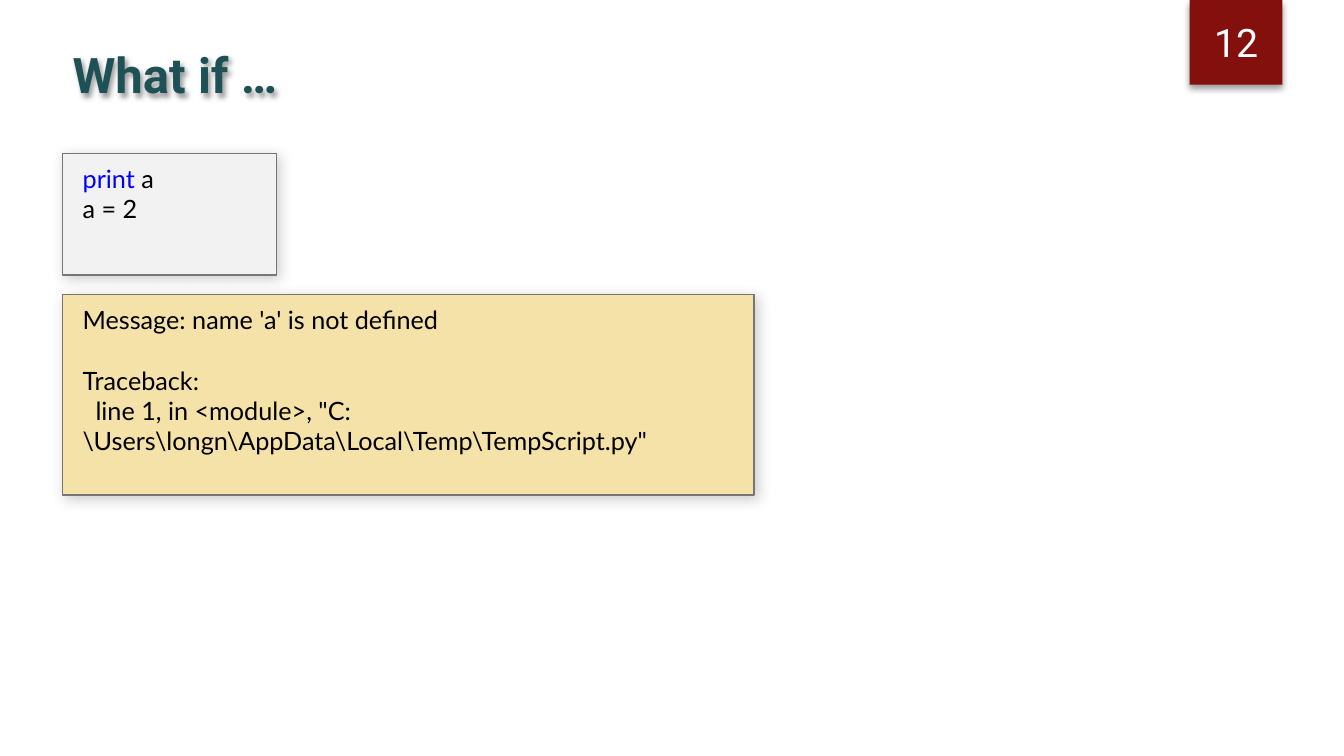
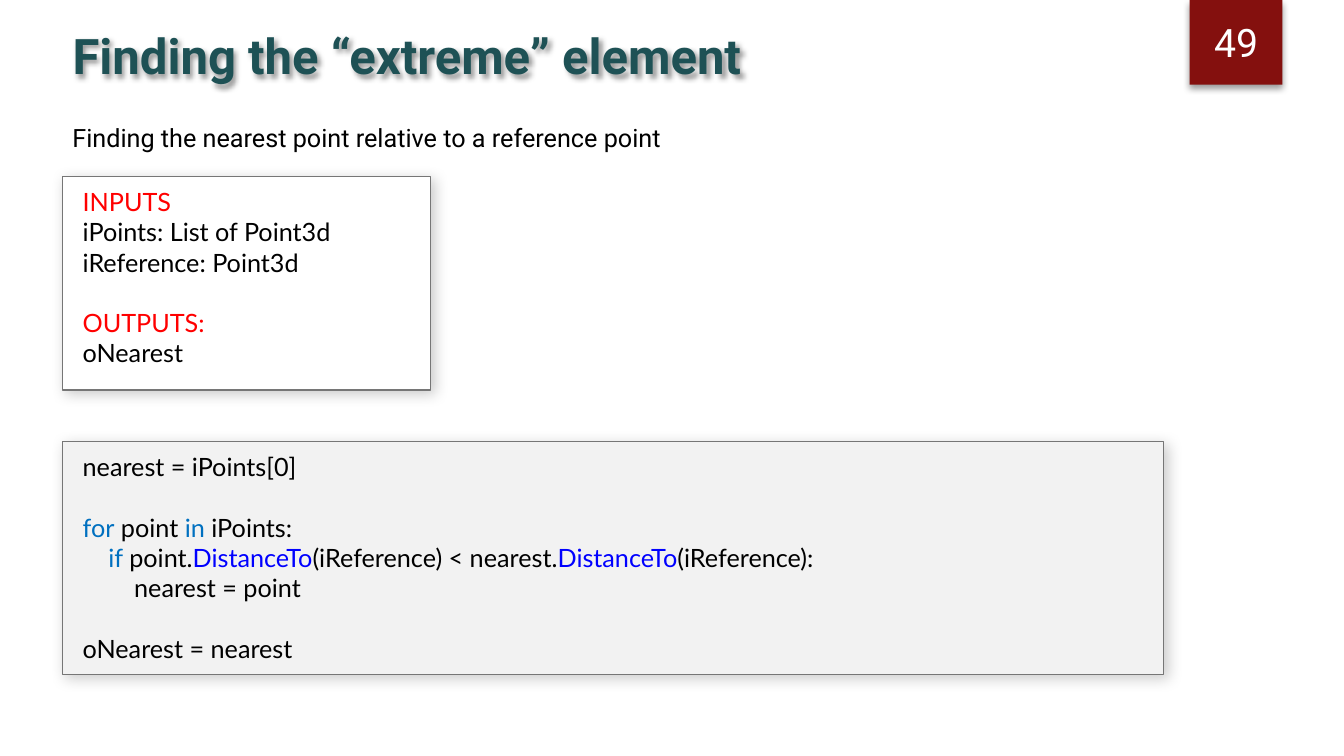
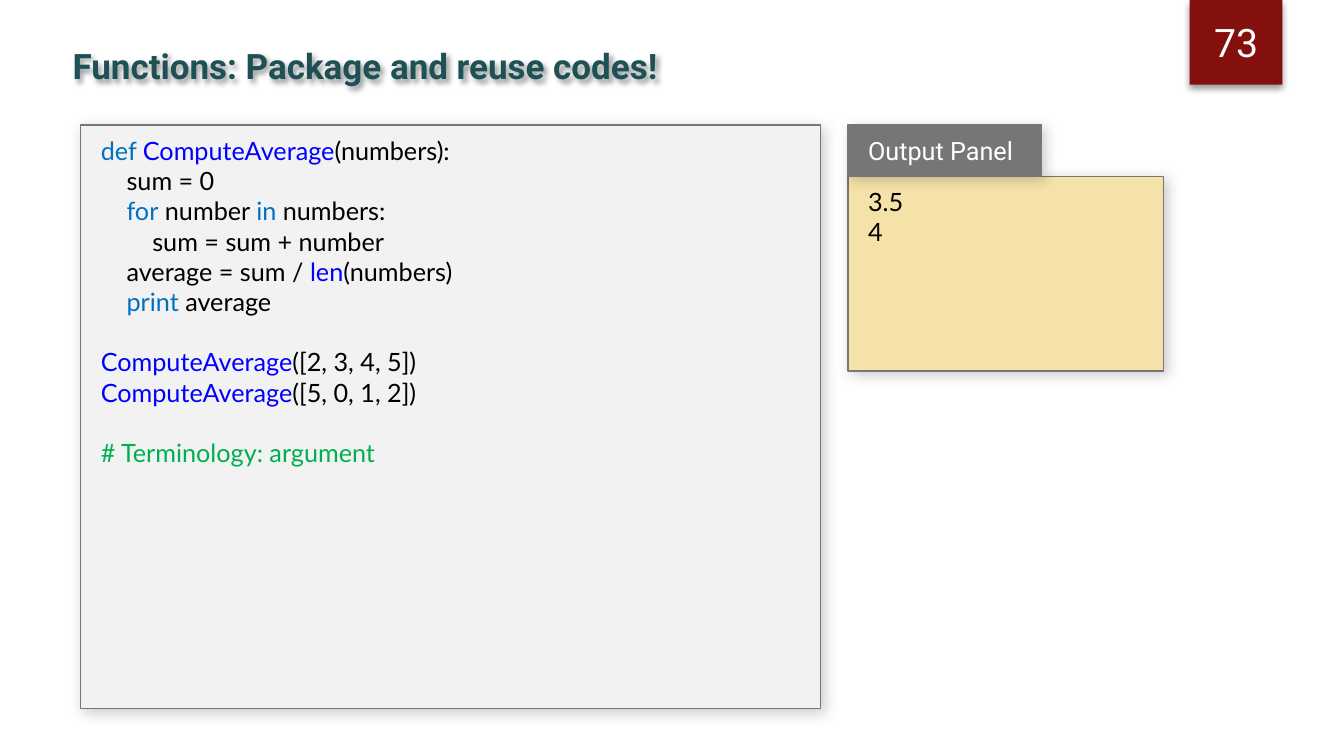
"""Build three slides of a Python scripting course."""
import pptx
import pptx.dml.color
import pptx.enum.shapes
import pptx.enum.text
import pptx.oxml.ns
import pptx.util
from lxml import etree
from pptx.util import Inches

RGBColor = pptx.dml.color.RGBColor
TEAL = RGBColor(0x1E, 0x51, 0x55)
DARK_RED = RGBColor(0x84, 0x10, 0x0E)
WHITE = RGBColor(0xFF, 0xFF, 0xFF)
BLACK = RGBColor(0x00, 0x00, 0x00)
LIGHT_GREY = RGBColor(0xF2, 0xF2, 0xF2)
GREY = RGBColor(0x76, 0x76, 0x76)
SAND = RGBColor(0xF5, 0xE2, 0xA9)
RED = RGBColor(0xFF, 0x00, 0x00)
GREEN = RGBColor(0x00, 0xB0, 0x50)
KEYWORD = RGBColor(0x00, 0x70, 0xC0)
CALL = RGBColor(0x00, 0x00, 0xFF)

HEADING_FONT = "Roboto"
CODE_FONT = "Lato"
TEXT_SIZE = pptx.util.Pt(18)
BLANK_LINE = pptx.util.Pt(21.6)
LEFT = 0.62
CONTENT_WIDTH = 10.92
RECTANGLE = pptx.enum.shapes.MSO_SHAPE.RECTANGLE


def cast_shadow(shape, opacity, blur, distance, angle):
    """Give a shape a soft black shadow."""
    shape.shadow.inherit = False
    effects = shape._element.spPr.find(pptx.oxml.ns.qn("a:effectLst"))
    shadow = etree.SubElement(
        effects, pptx.oxml.ns.qn("a:outerShdw"), blurRad=str(pptx.util.Pt(blur)),
        dist=str(pptx.util.Pt(distance)), dir=str(angle * 60000), algn="ctr", rotWithShape="0")
    colour = etree.SubElement(shadow, pptx.oxml.ns.qn("a:srgbClr"), val="000000")
    etree.SubElement(colour, pptx.oxml.ns.qn("a:alpha"), val=str(opacity * 1000))


def add_panel(slide, left, top, width, height, fill, lines, font=CODE_FONT):
    """Add a framed panel; a line is a list of (text, colour), and None leaves a line free."""
    panel = slide.shapes.add_shape(
        RECTANGLE, Inches(left), Inches(top), Inches(width), Inches(height))
    panel.fill.solid()
    panel.fill.fore_color.rgb = fill
    panel.line.color.rgb = GREY
    panel.line.width = pptx.util.Pt(1)
    cast_shadow(panel, 20, 10, 3, 45)
    frame = panel.text_frame
    frame.word_wrap = True
    frame.vertical_anchor = pptx.enum.text.MSO_ANCHOR.TOP
    frame.margin_left = frame.margin_right = Inches(0.2)
    frame.margin_top = frame.margin_bottom = Inches(0.1)
    for index, line in enumerate(lines):
        if line is None:
            continue
        paragraph = frame.add_paragraph() if index else frame.paragraphs[0]
        paragraph.alignment = pptx.enum.text.PP_ALIGN.LEFT
        if index and lines[index - 1] is None:
            paragraph.space_before = BLANK_LINE
        for text, colour in line:
            run = paragraph.add_run()
            run.text = text
            run.font.name = font
            run.font.size = TEXT_SIZE
            run.font.color.rgb = colour


presentation = pptx.Presentation()
presentation.slide_width = Inches(13.33)
presentation.slide_height = Inches(7.5)
title_only = presentation.slide_layouts[5]

slides = []
for heading, page, heading_top, heading_size in (
    ("What if …", "12", 0.39, 35),
    ("Finding the “extreme” element", "49", 0.2, 35),
    ("Functions: Package and reuse codes!", "73", 0.39, 25),
):
    slide = presentation.slides.add_slide(title_only)
    slides.append(slide)

    title = slide.shapes.title
    title.left, title.top = Inches(LEFT), Inches(heading_top)
    title.width, title.height = Inches(CONTENT_WIDTH), Inches(0.64)
    title.text_frame.text = heading
    title.text_frame.auto_size = pptx.enum.text.MSO_AUTO_SIZE.NONE
    title.text_frame.vertical_anchor = pptx.enum.text.MSO_ANCHOR.TOP
    title.text_frame.paragraphs[0].alignment = pptx.enum.text.PP_ALIGN.LEFT
    title_font = title.text_frame.paragraphs[0].runs[0].font
    title_font.name = HEADING_FONT
    title_font.size = pptx.util.Pt(heading_size)
    title_font.bold = True
    title_font.color.rgb = TEAL
    cast_shadow(title, 40, 4, 3, 45)

    badge = slide.shapes.add_shape(
        RECTANGLE, Inches(11.8), Inches(0), Inches(0.92), Inches(0.84))
    badge.fill.solid()
    badge.fill.fore_color.rgb = DARK_RED
    badge.line.fill.background()
    cast_shadow(badge, 40, 5, 3, 90)
    badge.text_frame.text = page
    badge.text_frame.vertical_anchor = pptx.enum.text.MSO_ANCHOR.MIDDLE
    badge.text_frame.paragraphs[0].alignment = pptx.enum.text.PP_ALIGN.CENTER
    badge_font = badge.text_frame.paragraphs[0].runs[0].font
    badge_font.name = HEADING_FONT
    badge_font.size = pptx.util.Pt(28)
    badge_font.color.rgb = WHITE

what_if, extreme, functions = slides

add_panel(what_if, LEFT, 1.52, 2.12, 1.21, LIGHT_GREY, [
    [("print ", CALL), ("a", BLACK)],
    [("a = 2", BLACK)],
])
add_panel(what_if, LEFT, 2.92, 6.86, 1.99, SAND, [
    [("Message: name 'a' is not defined", BLACK)],
    None,
    [("Traceback:", BLACK)],
    [(r'  line 1, in <module>, "C:\Users\longn\AppData\Local\Temp\TempScript.py"', BLACK)],
])

task = extreme.shapes.add_textbox(Inches(LEFT), Inches(1.16), Inches(6.11), Inches(0.4))
task.text_frame.text = "Finding the nearest point relative to a reference point"
task.text_frame.word_wrap = False
task_font = task.text_frame.paragraphs[0].runs[0].font
task_font.name = HEADING_FONT
task_font.size = TEXT_SIZE
task_font.color.rgb = BLACK

add_panel(extreme, LEFT, 4.38, CONTENT_WIDTH, 2.31, LIGHT_GREY, [
    [("nearest = iPoints[0]", BLACK)],
    None,
    [("for", KEYWORD), (" point ", BLACK), ("in ", KEYWORD), ("iPoints:", BLACK)],
    [("    if ", KEYWORD), ("point.", BLACK), ("DistanceTo", CALL),
     ("(iReference) < nearest.", BLACK), ("DistanceTo", CALL), ("(iReference):", BLACK)],
    [("        nearest = point", BLACK)],
    None,
    [("oNearest = nearest", BLACK)],
])
add_panel(extreme, LEFT, 1.75, 3.65, 2.12, WHITE, [
    [("INPUTS", RED)],
    [("iPoints: List of Point3d", BLACK)],
    [("iReference: Point3d", BLACK)],
    None,
    [("OUTPUTS:", RED)],
    [("oNearest", BLACK)],
])

add_panel(functions, 0.8, 1.24, 7.34, 5.79, LIGHT_GREY, [
    [("def ", KEYWORD), ("ComputeAverage", CALL), ("(numbers):", BLACK)],
    [("    sum = 0", BLACK)],
    [("    for", KEYWORD), (" number ", BLACK), ("in", KEYWORD), (" numbers:", BLACK)],
    [("        sum = sum + number", BLACK)],
    [("    average = sum / ", BLACK), ("len", CALL), ("(numbers)", BLACK)],
    [("    print", KEYWORD), (" average", BLACK)],
    None,
    [("ComputeAverage", CALL), ("([2, 3, 4, 5])", BLACK)],
    [("ComputeAverage", CALL), ("([5, 0, 1, 2])", BLACK)],
    None,
    [("# Terminology: argument", GREEN)],
])
add_panel(functions, 8.41, 1.75, 3.13, 1.93, SAND, [[("3.5", BLACK)], [("4", BLACK)]])
add_panel(functions, 8.41, 1.24, 1.92, 0.51, GREY, [[("Output Panel", WHITE)]], HEADING_FONT)

presentation.save("out.pptx")
